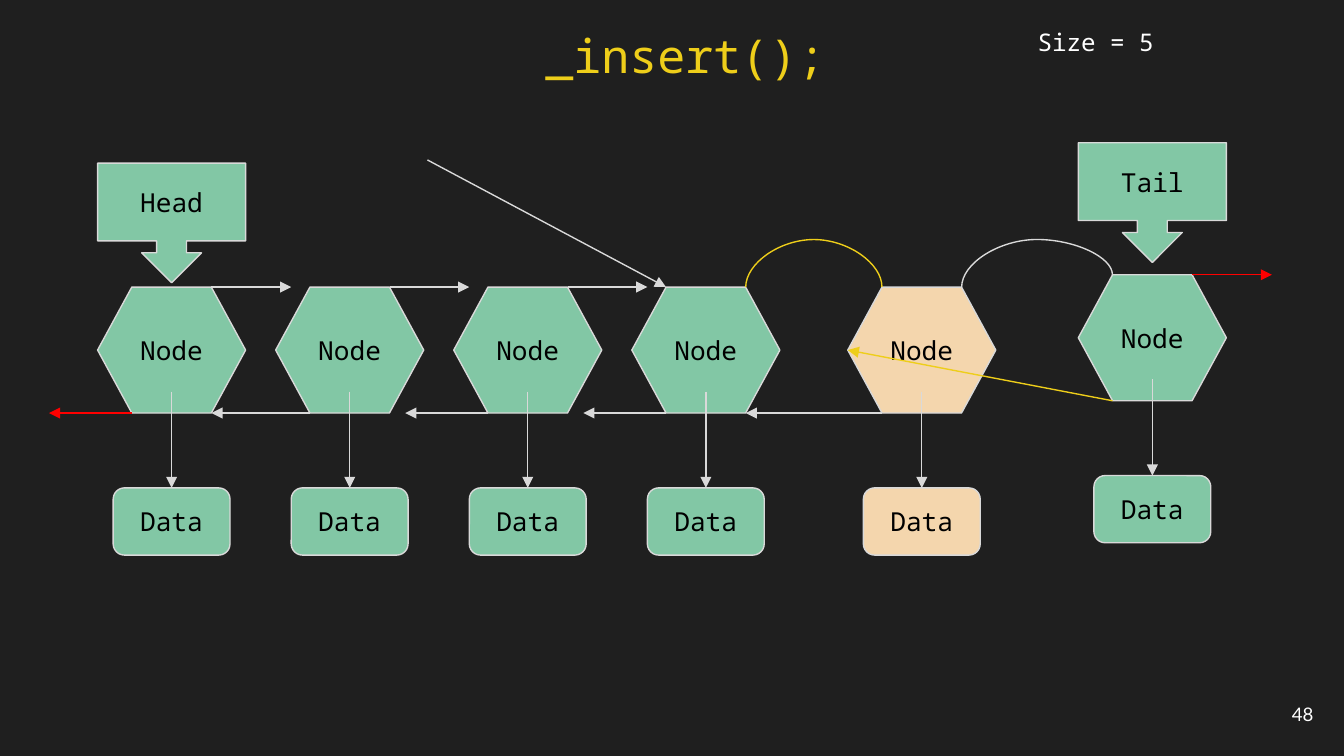
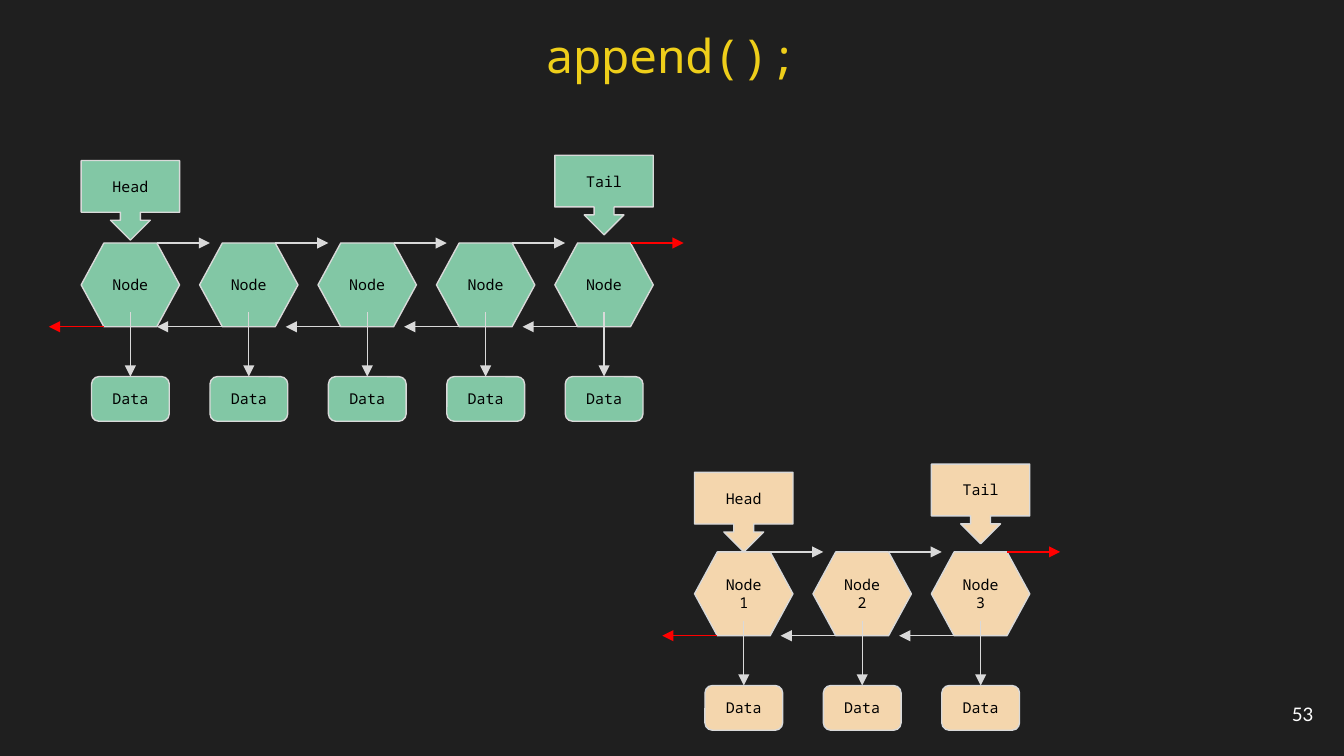
import pptx
import pptx.dml.color
import pptx.enum.shapes
import pptx.enum.text
import pptx.oxml
import pptx.oxml.ns
import pptx.util
import lxml.etree

Pt = pptx.util.Pt
RGBColor = pptx.dml.color.RGBColor
SHAPE = pptx.enum.shapes.MSO_SHAPE
CONNECTOR = pptx.enum.shapes.MSO_CONNECTOR
ALIGN = pptx.enum.text.PP_ALIGN
ANCHOR = pptx.enum.text.MSO_ANCHOR
AUTO_SIZE = pptx.enum.text.MSO_AUTO_SIZE
qn = pptx.oxml.ns.qn

DARK = RGBColor(0x1F, 0x1F, 0x1F)
YELLOW = RGBColor(0xEE, 0xCE, 0x1A)
GREEN = RGBColor(0x82, 0xC7, 0xA5)
PEACH = RGBColor(0xF4, 0xD6, 0xAD)
GREY = RGBColor(0xD9, 0xD9, 0xD9)
RED = RGBColor(0xFF, 0x00, 0x00)
WHITE = RGBColor(0xFF, 0xFF, 0xFF)
BLACK = RGBColor(0x00, 0x00, 0x00)
MONO = "Noto Sans Mono"
SANS = "Lato"

NODE_W, NODE_H = 79.3, 67.5
CORNER_L, CORNER_R = 18.3, 61
DATA_W, DATA_H, DATA_TOP = 62.6, 36, 107.6
STEM_TOP = 56
CALLOUT_H = 64.1
PITCH = 95.4
NEXT_END, PREV_END = 103.7, -26
SMALL = 0.665


def write(sp, text, size=14, color=BLACK, font=MONO, align=ALIGN.CENTER,
          anchor=ANCHOR.MIDDLE, auto_size=AUTO_SIZE.NONE):
    """Fill a shape with one formatted paragraph."""
    tf = sp.text_frame
    tf.word_wrap = True
    tf.auto_size = auto_size
    tf.vertical_anchor = anchor
    tf.margin_left = tf.margin_right = tf.margin_top = tf.margin_bottom = Pt(7.2)
    p = tf.paragraphs[0]
    p.alignment = align
    r = p.add_run()
    r.text = text
    r.font.size = Pt(size)
    r.font.name = font
    r.font.color.rgb = color


def add_block(slide, kind, box, fill, text, size):
    """Add an outlined, labelled preset shape."""
    sp = slide.shapes.add_shape(kind, *map(Pt, box))
    sp.shadow.inherit = False
    sp.fill.solid()
    sp.fill.fore_color.rgb = fill
    sp.line.color.rgb = GREY
    sp.line.width = Pt(0.75)
    write(sp, text, size)
    return sp


def add_line(slide, start, end, color=GREY, kind=CONNECTOR.STRAIGHT):
    """Add a thin connector without a shadow."""
    cxn = slide.shapes.add_connector(kind, *map(Pt, (*start, *end)))
    cxn.line.color.rgb = color
    cxn.line.width = Pt(0.75)
    lxml.etree.SubElement(cxn._element.spPr, qn("a:effectLst"))
    return cxn


def add_arrow(slide, start, end, color=GREY):
    """Add a straight connector with a triangular head."""
    cxn = add_line(slide, start, end, color)
    ln = cxn.line._get_or_add_ln()
    lxml.etree.SubElement(ln, qn("a:tailEnd"), type="triangle")
    return cxn


def add_arch(slide, start, end, rise, color=GREY):
    """Add a curved connector that bulges upward from start to end."""
    (x1, y1), (x2, y2) = start, end
    span, drop = x2 - x1, max(y1 - y2, 0.05)
    left, top = (x1 + x2 - drop) / 2, (y1 + y2 - span) / 2
    cxn = add_line(slide, (left, top), (left + drop, top + span), color,
                   CONNECTOR.CURVE)
    spPr = cxn._element.spPr
    spPr.find(qn("a:xfrm")).set("rot", "16200000")
    geom = spPr.find(qn("a:prstGeom"))
    av = geom.find(qn("a:avLst"))
    if av is None:
        av = lxml.etree.SubElement(geom, qn("a:avLst"))
    lxml.etree.SubElement(av, qn("a:gd"), name="adj1",
                          fmla=f"val {round(rise / drop * 100000)}")


def add_node(slide, x, y, k=1, size=14, fill=GREEN, label="Node",
             next_color=None, prev_color=None, prev_end=PREV_END):
    """Draw a node, its pointers and its data box from the node's top left."""
    def at(dx, dy):
        return x + dx * k, y + dy * k

    node = add_block(slide, SHAPE.HEXAGON, (x, y, NODE_W * k, NODE_H * k),
                     fill, label, size)
    node.adjustments[0] = 0.272
    if prev_color is not None:
        add_arrow(slide, at(CORNER_L, NODE_H), at(prev_end, NODE_H), prev_color)
    if next_color is not None:
        add_arrow(slide, at(CORNER_R, 0), at(NEXT_END, 0), next_color)
    box = (*at((NODE_W - DATA_W) / 2, DATA_TOP), DATA_W * k, DATA_H * k)
    data = add_block(slide, SHAPE.ROUNDED_RECTANGLE, box, fill, "Data", size)
    stem = add_arrow(slide, at(NODE_W / 2, STEM_TOP), at(NODE_W / 2, DATA_TOP))
    stem.end_connect(data, 0)


def add_callout(slide, x, y, text, rise, k=1, size=14, fill=GREEN):
    """Draw a Head or Tail callout above the node at x, y."""
    sp = add_block(slide, SHAPE.DOWN_ARROW_CALLOUT,
                   (x, y - rise * k, NODE_W * k, CALLOUT_H * k), fill, text, size)
    for i, value in enumerate((0.25, 0.25, 0.25, 0.65)):
        sp.adjustments[i] = value


def add_chain(slide, x, y, labels, k=1, size=14, fill=GREEN, last_next=RED,
              second_prev=PREV_END, head_rise=66.4):
    """Draw a row of linked nodes with its Head callout."""
    last = len(labels) - 1
    for i, label in enumerate(labels):
        add_node(slide, x + i * PITCH * k, y, k, size, fill, label,
                 next_color=last_next if i == last else GREY,
                 prev_color=GREY if i else RED,
                 prev_end=second_prev if i == 1 else PREV_END)
    add_callout(slide, x, y, "Head", head_rise, k, size, fill)


def add_tail(slide, x, y, **style):
    """Draw the Tail callout above the node at x, y."""
    add_callout(slide, x, y, "Tail", 70.7, **style)


def new_slide(prs, title, number):
    """Add a slide with its title and page number."""
    slide = prs.slides.add_slide(prs.slide_layouts[5])
    sp = slide.shapes.title
    sp.left, sp.top, sp.width, sp.height = map(Pt, (285, 7.2, 353, 49))
    write(sp, title, 25, YELLOW, align=ALIGN.LEFT, anchor=ANCHOR.TOP)
    sp = slide.shapes.add_textbox(*map(Pt, (667.5, 367.2, 43.2, 31)))
    write(sp, str(number), 10, WHITE, SANS, ALIGN.RIGHT)
    return slide


def insert_slide(prs):
    """Show a new node being linked in before the tail."""
    slide = new_slide(prs, "_insert();", 48)
    x, y = 52.3, 153.8
    new_x, tail_x, tail_y = 454.2, 577.7, 147.2
    add_node(slide, new_x, y, fill=PEACH, prev_color=GREY, prev_end=-54.7)
    add_chain(slide, x, y, ["Node"] * 4, last_next=None, second_prev=-34.4)
    add_node(slide, tail_x, tail_y, next_color=RED)
    add_tail(slide, tail_x, tail_y)
    add_arrow(slide, (tail_x + CORNER_L, tail_y + NODE_H),
              (new_x, y + NODE_H / 2), YELLOW)
    sp = slide.shapes.add_textbox(*map(Pt, (548.8, 7.2, 132.5, 30.2)))
    write(sp, "Size = 5", 13, WHITE, align=ALIGN.LEFT, anchor=ANCHOR.TOP,
          auto_size=AUTO_SIZE.SHAPE_TO_FIT_TEXT)
    before_x = x + 3 * PITCH
    add_arrow(slide, (229, 85.7), (before_x + CORNER_L, y))
    add_arch(slide, (new_x + CORNER_R, y), (tail_x + CORNER_L, tail_y), 25.5)
    add_arch(slide, (before_x + CORNER_R, y), (new_x + CORNER_L, y), 22.5, YELLOW)


def append_slide(prs):
    """Show a list and the second list to be appended to it."""
    slide = new_slide(prs, "append();", 53)
    step = PITCH * SMALL
    style = dict(k=SMALL, size=8)
    x, y = 43.5, 130.2
    add_chain(slide, x, y, ["Node"] * 5, second_prev=-34.4, **style)
    add_tail(slide, x + 4 * step, y, **style)
    x, y = 372.1, 295.7
    style["fill"] = PEACH
    labels = [f"Node{i}" for i in range(1, 4)]
    add_chain(slide, x, y, labels, head_rise=CALLOUT_H, **style)
    add_tail(slide, x + 2 * step, y, **style)


def main():
    """Build the presentation."""
    prs = pptx.Presentation()
    prs.slide_width, prs.slide_height = Pt(720), Pt(405)
    fill = prs.slide_master.background.fill
    fill.solid()
    fill.fore_color.rgb = DARK
    insert_slide(prs)
    append_slide(prs)
    prs.save("out.pptx")


if __name__ == "__main__":
    main()
